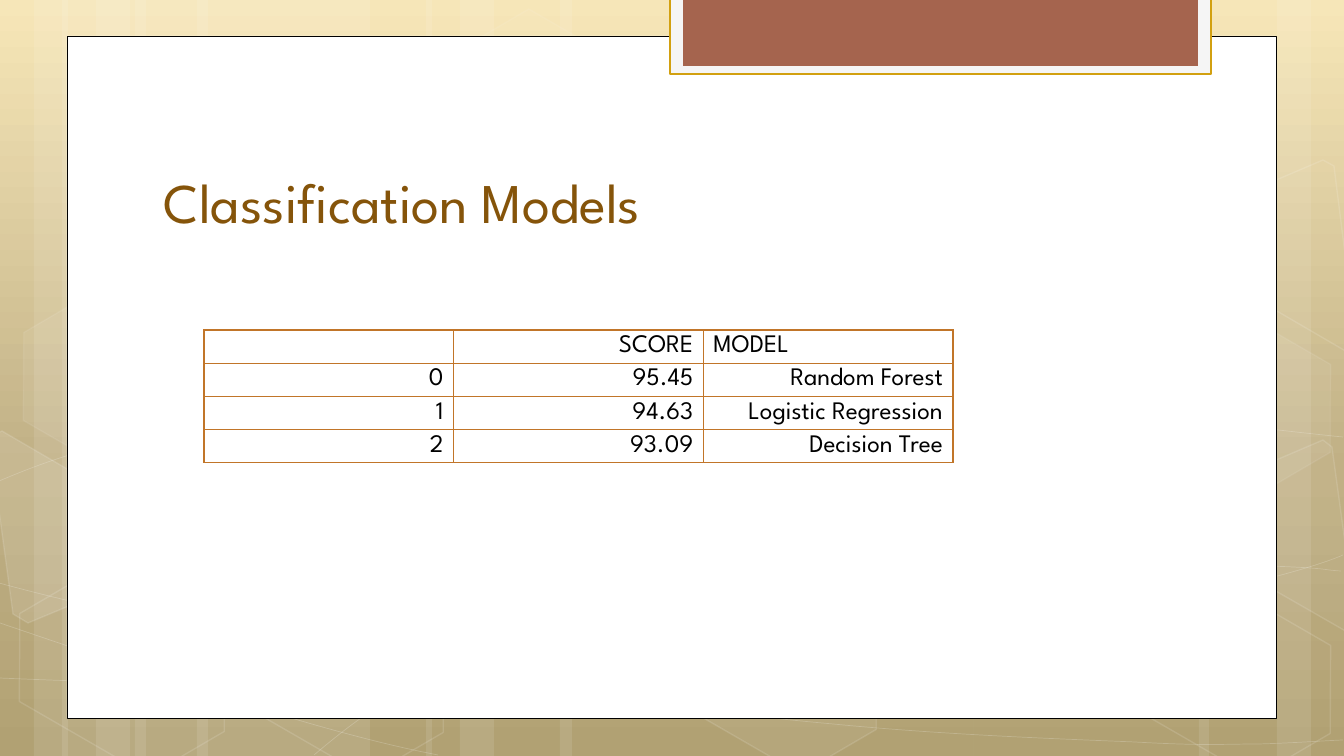
from copy import deepcopy
from lxml import etree
from pptx import Presentation
from pptx import util as u
from pptx.dml.color import RGBColor
from pptx.enum import shapes, text
from pptx.oxml import parse_xml
from pptx.oxml.ns import qn

PX = 914400 / 100.8
FONT = "League Spartan"
NS = "http://schemas.openxmlformats.org/drawingml/2006/main"


def tint(fill, hue, alpha=100):
    fill.solid()
    fill.fore_color.rgb = RGBColor.from_string(hue)
    if alpha < 100:
        node = fill._xPr.find(".//" + qn("a:srgbClr"))
        etree.SubElement(node, qn("a:alpha")).set("val", str(alpha * 1000))


def paint(shape, fill=None, line=None, width=1):
    """Fill and line are (hue, alpha) pairs, or None for nothing."""
    shape.shadow.inherit = False
    if fill:
        tint(shape.fill, *fill)
    else:
        shape.fill.background()
    if line:
        tint(shape.line.fill, *line)
        shape.line.width = u.Pt(width)
    else:
        shape.line.fill.background()


deck = Presentation()
deck.slide_width, deck.slide_height = int(1344 * PX), int(756 * PX)
slide = deck.slides.add_slide(deck.slide_layouts[6])
tree = slide.shapes

# Background gradient, top to bottom
back = slide.background.fill
back.gradient()
back.gradient_angle = 270
stops = slide._element.find(".//" + qn("a:gsLst"))
stops.append(deepcopy(stops[-1]))
hues = [(0, "F6E4B0"), (0.62, "BAA878"), (1, "A99764")]
for stop, (pos, hue) in zip(back.gradient_stops, hues):
    stop.position = pos
    stop.color.rgb = RGBColor.from_string(hue)

# Pale vertical bars: left, width
bars = [(135, 235), (0, 68), (34, 112), (197, 235), (62, 68), (96, 112),
        (974, 235), (1277, 67), (1199, 112), (560, 414), (426, 68), (460, 112)]
for x, w in bars:
    bar = tree.add_shape(shapes.MSO_SHAPE.RECTANGLE,
                         int(x * PX), 0, int(w * PX), int(756 * PX))
    paint(bar, ("FFFFFF", 10))

# Thin curves: a start, then three Bezier points per arc
curves = [
    [(-1, 678), (72, 681), (144, 684), (245, 683), (346, 682), (470, 680),
     (604, 670), (740, 660), (929, 641), (1053, 622), (1176, 603),
     (1302, 573), (1343, 555)],
    [(-1, 481), (37, 465), (76, 450), (152, 434), (229, 419), (337, 397),
     (456, 390), (576, 383), (720, 382), (868, 390), (1016, 398),
     (1262, 429), (1343, 437)],
    [(-3, 622), (159, 677), (322, 733), (438, 755)],
    [(-1, 583), (40, 594), (83, 605), (161, 621), (239, 636), (356, 661),
     (468, 678), (581, 696), (722, 714), (833, 724), (945, 735), (1063, 739),
     (1135, 742), (1206, 746), (1224, 744), (1259, 744), (1293, 743),
     (1319, 741), (1343, 740)],
    [(314, 755), (338, 735), (362, 715), (395, 697), (427, 678), (473, 658),
     (510, 644), (547, 630), (571, 624), (620, 614), (669, 604), (760, 590),
     (806, 583), (853, 576), (861, 576), (903, 574), (944, 571), (1010, 567),
     (1056, 566), (1103, 565), (1180, 566), (1180, 566), (1210, 566),
     (1240, 566), (1269, 566), (1294, 567), (1317, 568), (1329, 570),
     (1340, 571), (1336, 571), (1341, 571)],
]
for nodes in curves:
    pen = tree.build_freeform(*nodes[0], scale=PX)
    pen.add_line_segments(nodes[1:], close=False)
    curve = pen.convert_to_shape()
    route = curve._element.find(".//" + qn("a:moveTo")).getparent()
    legs = route.findall(qn("a:lnTo"))
    for i in range(0, len(legs), 3):
        arc = etree.SubElement(route, qn("a:cubicBezTo"))
        for leg in legs[i:i + 3]:
            arc.append(leg[0])
            route.remove(leg)
    paint(curve, None, ("FFFFFF", 20), 0.5)

# Tilted hexagons: left, top, fill alpha, line alpha
hexes = [(437, 36, 4, 8), (656, 594, 6, 12), (4, 596, 0, 12), (8, 315, 7, 8),
         (223, 597, 0, 12), (1110, 598, 0, 12), (1110, 317, 7, 8)]
for x, y, body, edge in hexes:
    hexa = tree.add_shape(shapes.MSO_SHAPE.HEXAGON, int(x * PX), int(y * PX),
                          int(236 * PX), int(153 * PX))
    hexa.adjustments[0] = 0.285
    hexa.rotation = 30
    paint(hexa, ("FFFFFF", body) if body else None, ("FFFFFF", edge))

# Cut hexagons at the slide edges
cuts = [
    ([(-11, 437), (2, 431), (105, 491), (117, 586), (28, 623), (13, 614)], 10),
    ([(1234, 478), (1323, 440), (1332, 447), (1357, 630), (1349, 633), (1246, 574)], 4),
    ([(1234, 198), (1323, 160), (1334, 166), (1357, 349), (1349, 353), (1246, 293)], 0),
]
for nodes, body in cuts:
    pen = tree.build_freeform(*nodes[0], scale=PX)
    pen.add_line_segments(nodes[1:], close=True)
    paint(pen.convert_to_shape(), ("FFFFFF", body) if body else None,
          ("FFFFFF", 12))

# White panel and the tab on its top edge
plates = [((67, 36, 1209, 682), "FFFFFF", ("000000",), 0.5),
          ((670, -2, 541, 76), "F5F5F5", ("D2A010",), 1),
          ((683, -2, 515, 68), "A5644E", None, 0)]
for box, hue, edge, width in plates:
    plate = tree.add_shape(shapes.MSO_SHAPE.RECTANGLE, *[int(n * PX) for n in box])
    paint(plate, (hue,), edge, width)

# Title
title = tree.add_textbox(*[int(n * PX) for n in (154, 114, 1032, 126)]).text_frame
title.word_wrap = True
title.vertical_anchor = text.MSO_ANCHOR.BOTTOM
run = title.paragraphs[0].add_run()
run.text = "Classification Models"
run.font.name, run.font.size = FONT, u.Pt(40)
run.font.color.rgb = RGBColor.from_string("85540A")

# Score table
rows = [("", "SCORE", "MODEL"), ("0", "95.45", "Random Forest"),
        ("1", "94.63", "Logistic Regression"), ("2", "93.09", "Decision Tree")]
grid = tree.add_table(4, 3, *[int(n * PX) for n in (204, 330, 749, 133)]).table
grid.first_row = grid.horz_banding = False
for r, row in enumerate(rows):
    for c, word in enumerate(row):
        cell = grid.cell(r, c)
        for side in "LRTB":
            cell._tc.get_or_add_tcPr().append(parse_xml(
                f'<a:ln{side} xmlns:a="{NS}" w="12700"><a:solidFill>'
                f'<a:srgbClr val="C17529"/></a:solidFill></a:ln{side}>'))
        cell.fill.background()
        cell.margin_top = cell.margin_bottom = 0
        cell.vertical_anchor = text.MSO_ANCHOR.MIDDLE
        if not word:
            continue
        para = cell.text_frame.paragraphs[0]
        if word != "MODEL":
            para.alignment = text.PP_ALIGN.RIGHT
        run = para.add_run()
        run.text = word
        run.font.name, run.font.size = FONT, u.Pt(18)
        run.font.color.rgb = RGBColor.from_string("000000")

deck.save("out.pptx")
